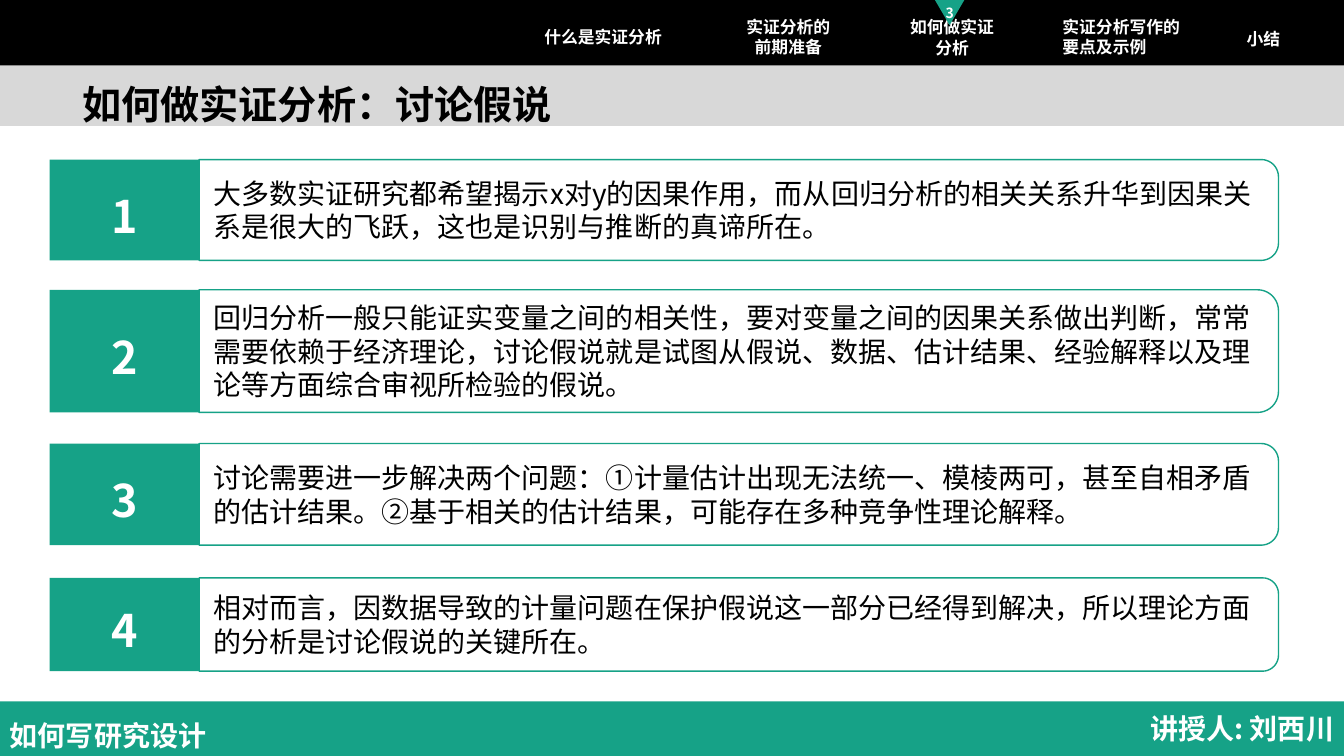
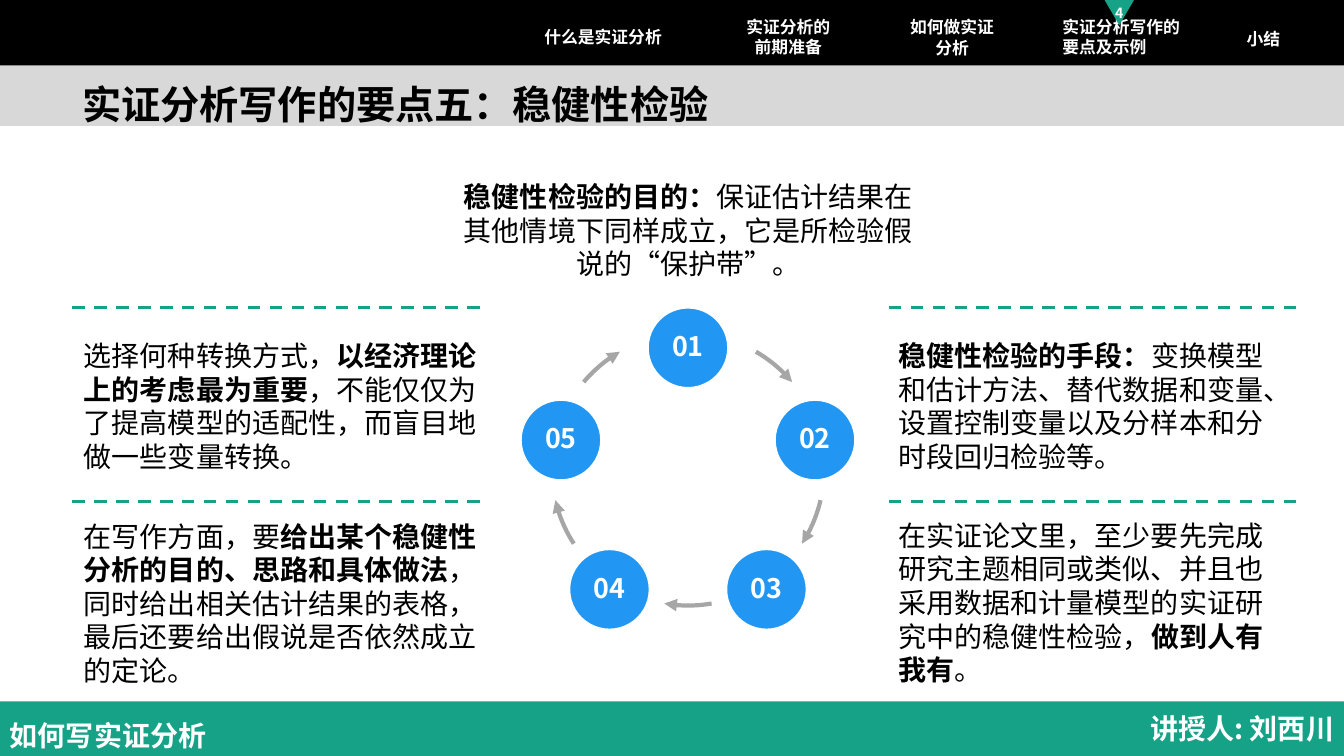
import math

import pptx
import pptx.dml.color
import pptx.enum.dml
import pptx.enum.shapes
import pptx.enum.text
import pptx.oxml.ns
import pptx.util
from lxml import etree

COLORS = {"black": "000000", "white": "FFFFFF", "band": "D8D8D8",
          "teal": "16A287", "blue": "2196F3", "arrow": "A6A6A6"}
FONT = "Noto Sans CJK SC"
COLS, ROWS = 160, 90
CELL = pptx.util.Inches(1 / 12)

SHAPE = pptx.enum.shapes.MSO_SHAPE
LEFT, CENTER = pptx.enum.text.PP_ALIGN.LEFT, pptx.enum.text.PP_ALIGN.CENTER
TOP, MIDDLE = pptx.enum.text.MSO_ANCHOR.TOP, pptx.enum.text.MSO_ANCHOR.MIDDLE
INSETS = (1.2, 0.6, 1.2, 0.6)

# Each tab: box, alignment, lines
TABS = [
    ((61.6, 1.6, 20.4, 5.6), CENTER, ["什么是实证分析"]),
    ((84, 2, 19.7, 4.7), CENTER, ["实证分析的", "前期准备"]),
    ((105.8, 1.8, 15.1, 5.3), CENTER, ["如何做实证", "分析"]),
    ((125.3, 1.6, 16.5, 5.6), LEFT, ["实证分析写作的要点及示例"]),
    ((144.6, 1.8, 11.6, 5.6), CENTER, ["小结"]),
]

# Each point: top row, height, text
POINTS = [
    (19, 12, "大多数实证研究都希望揭示x对y的因果作用，而从回归分析的相关关系升华到因果"
             "关系是很大的飞跃，这也是识别与推断的真谛所在。"),
    (34.5, 14.6, "回归分析一般只能证实变量之间的相关性，要对变量之间的因果关系做出判断，常常"
                 "需要依赖于经济理论，讨论假说就是试图从假说、数据、估计结果、经验解释以及理"
                 "论等方面综合审视所检验的假说。"),
    (52.8, 12.1, "讨论需要进一步解决两个问题：①计量估计出现无法统一、模棱两可，甚至自相矛盾"
                 "的估计结果。②基于相关的估计结果，可能存在多种竞争性理论解释。"),
    (68.8, 11.1, "相对而言，因数据导致的计量问题在保护假说这一部分已经得到解决，所以理论方面"
                 "的分析是讨论假说的关键所在。"),
]

# Runs are (text, bold)
PURPOSE = [("稳健性检验的目的：", True),
           ("保证估计结果在其他情境下同样成立，它是所检验假说的“保护带”。", False)]
NOTES = [
    ((8.8, 39.7, 51, 17.4),
     [("选择何种转换方式，", False), ("以经济理论上的考虑最为重要", True),
      ("，不能仅仅为了提高模型的适配性，而盲目地做一些变量转换。", False)]),
    ((8.8, 61.2, 51, 21.4),
     [("在写作方面，要", False), ("给出某个稳健性分析的目的、思路和具体做法", True),
      ("，同时给出相关估计结果的表格，最后还要给出假说是否依然成立的定论。", False)]),
    ((105.8, 39.7, 47.5, 17.4),
     [("稳健性检验的手段：", True),
      ("变换模型和估计方法、替代数据和变量、设置控制变量以及分样本和分时段回归检验等。", False)]),
    ((105.8, 61.1, 48, 21.4),
     [("在实证论文里，至少要先完成研究主题相同或类似、并且也采用数据和计量模型的实证研究中的"
       "稳健性检验，", False), ("做到人有我有", True), ("。", False)]),
]


def grid(*cells):
    return [pptx.util.Emu(round(c * CELL)) for c in cells]


def rgb(name):
    return pptx.dml.color.RGBColor.from_string(COLORS[name])


def paint(sp, fill=None, line=None, width=1):
    sp.shadow.inherit = False
    if fill:
        sp.fill.solid()
        sp.fill.fore_color.rgb = rgb(fill)
    else:
        sp.fill.background()
    if line:
        sp.line.color.rgb = rgb(line)
        sp.line.width = pptx.util.Pt(width)
    else:
        sp.line.fill.background()
    return sp


def write(sp, paragraphs, size, color="black", align=LEFT, anchor=TOP,
          insets=INSETS, spacing=None):
    """Fill a shape with paragraphs, each a list of (text, bold) runs."""
    tf = sp.text_frame
    tf.word_wrap = True
    tf.vertical_anchor = anchor
    tf.margin_left, tf.margin_top, tf.margin_right, tf.margin_bottom = grid(*insets)
    for i, runs in enumerate(paragraphs):
        p = tf.add_paragraph() if i else tf.paragraphs[0]
        p.alignment = align
        if spacing:
            p.line_spacing = spacing
        for text, bold in runs:
            r = p.add_run()
            r.text = text
            r.font.size = pptx.util.Pt(size)
            r.font.bold = bold
            r.font.name = FONT
            r.font.color.rgb = rgb(color)
            ea = etree.SubElement(r.font._element, pptx.oxml.ns.qn("a:ea"))
            ea.set("typeface", FONT)


def add_text(s, box, paragraphs, size, **style):
    write(s.shapes.add_textbox(*grid(*box)), paragraphs, size, **style)


def add_block(s, kind, box, fill):
    return paint(s.shapes.add_shape(kind, *grid(*box)), fill)


def add_outline(s, points, close=True):
    start, *rest = [tuple(grid(*pt)) for pt in points]
    fb = s.shapes.build_freeform(*start)
    fb.add_line_segments(rest, close=close)
    return fb.convert_to_shape()


def arc(cx, cy, radius, start, end, steps=10):
    """Points on a circle; angles in degrees, clockwise from the top."""
    angles = [math.radians(start + (end - start) * i / steps) for i in range(steps + 1)]
    return [(cx + radius * math.sin(a), cy - radius * math.cos(a)) for a in angles]


def add_tabs(s, active):
    for box, align, lines in TABS:
        add_text(s, box, [[(line, True)] for line in lines], 12,
                 color="white", align=align, anchor=MIDDLE)
    x, _, w, _ = TABS[active - 1][0]
    mid = x + w / 2 - 0.3
    marker = paint(add_outline(s, [(mid - 1.75, 0), (mid + 1.75, 0), (mid, 3)]), "teal")
    write(marker, [[(str(active), True)]], 10, color="white", align=CENTER,
          anchor=MIDDLE, insets=(0, 0, 0, 0))


def add_frame(prs, title, topic, active):
    """Add a slide with the bands, title, footer and tabs that all slides share."""
    s = prs.slides.add_slide(prs.slide_layouts[6])
    for top, height, fill in ((7.2, 7.8, "band"), (0, 7.8, "black"), (83.5, 6.5, "teal")):
        add_block(s, SHAPE.RECTANGLE, (0, top, COLS, height), fill)
    add_text(s, (8.6, 9, 110, 5.6), [[(title, True)]], 28)
    add_text(s, (0, 84.1, 26.5, 6), [[(topic, True)]], 20, color="white", spacing=1.2)
    add_text(s, (133, 84.1, 27, 5.3), [[("讲授人: 刘西川", True)]], 20, color="white",
             align=pptx.enum.text.PP_ALIGN.RIGHT)
    add_tabs(s, active)
    return s


def add_point(s, box, number, text):
    x, y, w, h = box
    split, right, radius = x + 17.8, x + w, 0.17 * h
    corners = (arc(right - radius, y + radius, radius, 0, 90)
               + arc(right - radius, y + h - radius, radius, 90, 180))
    panel = paint(add_outline(s, [(split, y)] + corners + [(split, y + h)]), line="teal")
    write(panel, [[(text, False)]], 20, anchor=MIDDLE, insets=(1.7, 0.7, 0.7, 0.7))
    tag = add_block(s, SHAPE.RECTANGLE, (x, y, split - x, h), "teal")
    write(tag, [[(str(number), True)]], 32, color="white", align=CENTER,
          anchor=MIDDLE, spacing=1.2)


def add_cycle(s, cx, cy, radius):
    size = 9.5
    for i in range(5):
        x, y = arc(cx, cy, radius, 72 * i, 72 * i, 1)[0]
        disc = add_block(s, SHAPE.OVAL, (x - size / 2, y - size / 2, size, size), "blue")
        paint(disc, "blue", "white")
        write(disc, [[(f"{i + 1:02}", True)]], 19.2, color="white", align=CENTER,
              anchor=MIDDLE, insets=(0, 0, 0, 0), spacing=0.9)
    for middle in (40, 113, 180, 247, 320):
        points = arc(cx, cy - 1.4, radius + 0.3, middle - 10, middle + 10)
        arrow = paint(add_outline(s, points, close=False), line="arrow", width=3)
        tail = etree.SubElement(arrow.line._get_or_add_ln(), pptx.oxml.ns.qn("a:tailEnd"))
        tail.set("type", "triangle")


def add_dash(s, x, y, length):
    line = s.shapes.add_connector(pptx.enum.shapes.MSO_CONNECTOR.STRAIGHT,
                                  *grid(x, y, x + length, y))
    line.line.color.rgb = rgb("teal")
    line.line.width = pptx.util.Pt(2.25)
    line.line.dash_style = pptx.enum.dml.MSO_LINE.DASH
    etree.SubElement(line._element.spPr, pptx.oxml.ns.qn("a:effectLst"))


def hypothesis_slide(prs):
    s = add_frame(prs, "如何做实证分析：讨论假说", "如何写研究设计", 3)
    for number, (top, height, text) in enumerate(POINTS, 1):
        add_point(s, (5.9, top, 146.3, height), number, text)


def robustness_slide(prs):
    s = add_frame(prs, "实证分析写作的要点五：稳健性检验", "如何写实证分析", 4)
    add_text(s, (52.8, 20.8, 58.3, 13.3), [PURPOSE], 20, align=CENTER)
    add_cycle(s, 81.9, 57.3, 15.9)
    for box, runs in NOTES:
        add_text(s, box, [runs], 20)
    for x in (8.6, 105.8):
        for y in (36.6, 59.7):
            add_dash(s, x, y, 49.2)


def main():
    prs = pptx.Presentation()
    prs.slide_width, prs.slide_height = grid(COLS, ROWS)
    hypothesis_slide(prs)
    robustness_slide(prs)
    prs.save("out.pptx")


if __name__ == "__main__":
    main()
